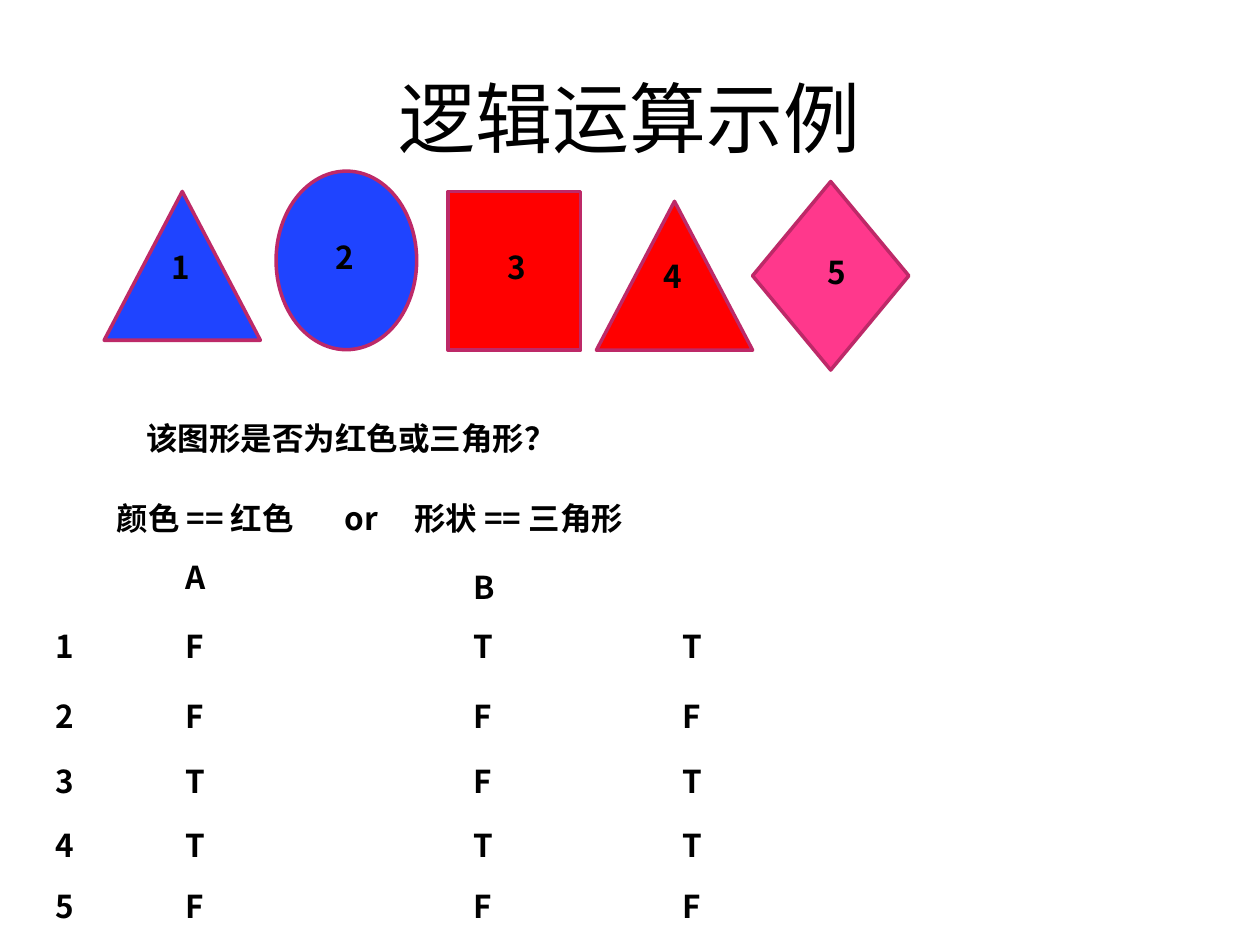
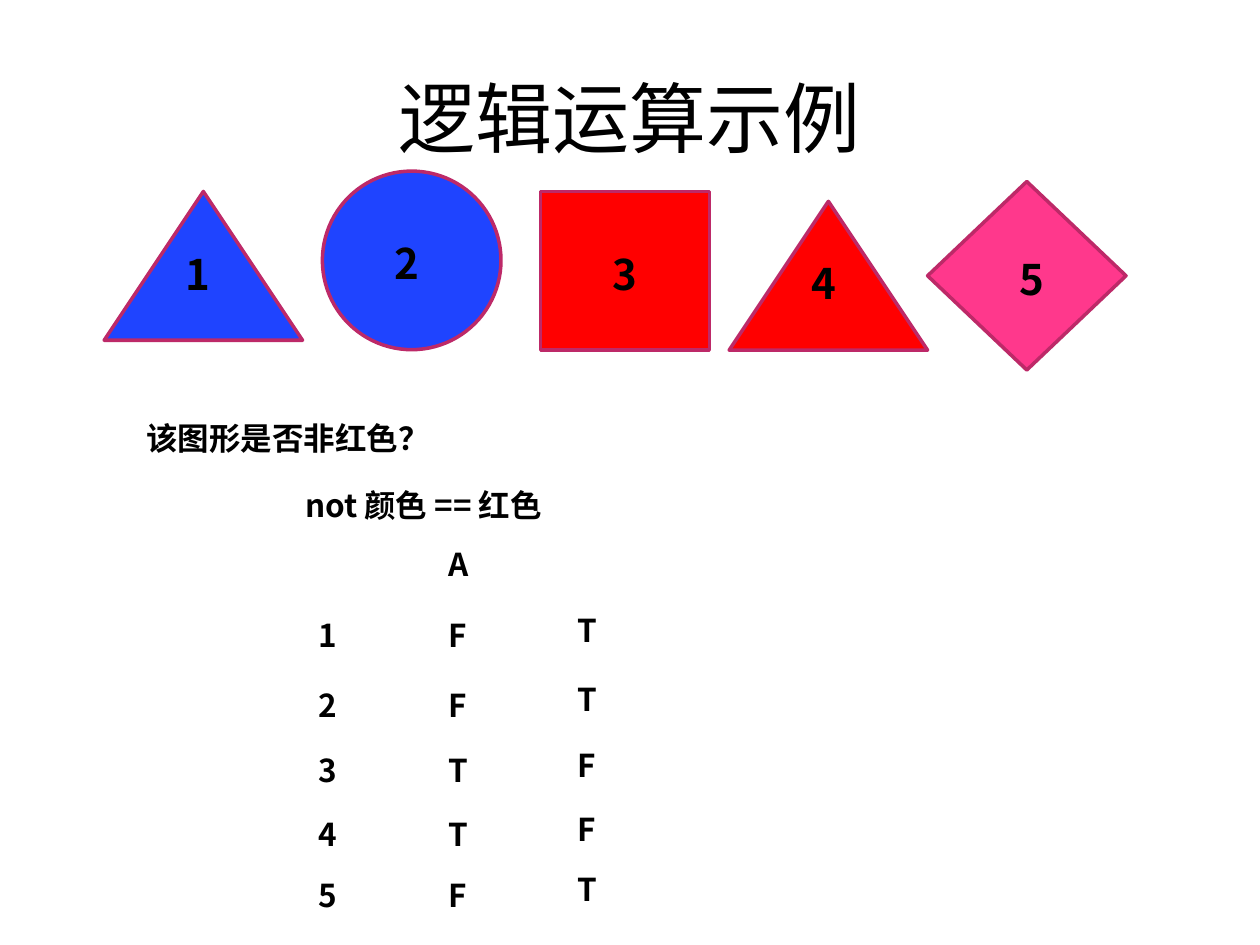
import pptx
import pptx.util
import pptx.dml.color
import pptx.enum.shapes
import pptx.enum.text
import pptx.oxml
import pptx.oxml.ns

Cm, Pt = pptx.util.Cm, pptx.util.Pt
MSO = pptx.enum.shapes.MSO_SHAPE
ALIGN = pptx.enum.text.PP_ALIGN

FONT = "Noto Sans CJK SC"
COLORS = {"text": "000000", "outline": "BD2968", "blue": "1F44FF",
          "red": "FF0000", "pink": "FF388C"}
TITLE = "逻辑运算示例"

FIGURES = [
    (MSO.ISOSCELES_TRIANGLE, "blue", (2.1, 3.86, 4, 3), (3.5, 4.88)),
    (MSO.OVAL, "blue", (6.5, 3.45, 3.6, 3.6), (7.7, 4.67)),
    (MSO.RECTANGLE, "red", (10.9, 3.86, 3.4, 3.2), (12.1, 4.88)),
    (MSO.ISOSCELES_TRIANGLE, "red", (14.7, 4.06, 4, 3), (16.1, 5.06)),
    (MSO.DIAMOND, "pink", (18.7, 3.66, 4, 3.8), (20.3, 4.98)),
]
FIGURES_LEFT = 2.1
TRIANGLE_WIDTH = 4
ROW_OFFSETS = [0, 1.4, 2.72, 4.01, 5.23]

SLIDES = [
    {
        "triangle_width": 3.15, "label_size": 18,
        "question": "该图形是否为红色或三角形？",
        "expression": [
            ("颜色 == 红色", 2.1, 9.93, 6.4), ("A", 3.5, 11.13, 1),
            ("形状 == 三角形", 8.1, 9.93, 9.4), ("B", 9.3, 11.33, 1),
            ("or", 6.7, 9.93, 2.4),
        ],
        "numbers_left": 0.71, "rows_top": 12.52,
        "columns": [("FFTTF", 3.5, 0), ("TFFTF", 9.3, 0), ("TFTTF", 13.5, 0)],
    },
    {
        "triangle_width": 4, "label_size": 24,
        "question": "该图形是否非红色？",
        "expression": [("not 颜色 == 红色", 5.9, 9.68, 8.4), ("A", 8.8, 10.87, 1)],
        "numbers_left": 6, "rows_top": 12.3,
        "columns": [("FFTTF", 8.8, 0), ("TTFFT", 11.4, -0.11)],
    },
]


def rgb(name):
    return pptx.dml.color.RGBColor.from_string(COLORS[name])


def add_run(p, text, size, bold):
    r = p.add_run()
    r.text = text
    r.font.name = FONT
    r.font.size = Pt(size)
    r.font.bold = bold
    r.font.color.rgb = rgb("text")
    ea = pptx.oxml.parse_xml(
        f'<a:ea {pptx.oxml.ns.nsdecls("a")} typeface="{FONT}"/>')
    r.font._element.find(pptx.oxml.ns.qn("a:latin")).addnext(ea)


def add_text(shapes, text, left, top, width, size=18, align=ALIGN.LEFT):
    height = 1.02 if size == 18 else 1.28
    tf = shapes.add_textbox(Cm(left), Cm(top), Cm(width), Cm(height)).text_frame
    tf.word_wrap = True
    tf.auto_size = pptx.enum.text.MSO_AUTO_SIZE.SHAPE_TO_FIT_TEXT
    p = tf.paragraphs[0]
    p.alignment = align
    add_run(p, text, size, True)


def add_title(s):
    sp = s.shapes.title
    sp.left, sp.top, sp.width, sp.height = Cm(1.27), Cm(0.76), Cm(22.86), Cm(3.18)
    sp.text_frame.vertical_anchor = pptx.enum.text.MSO_ANCHOR.MIDDLE
    p = sp.text_frame.paragraphs[0]
    p.alignment = ALIGN.CENTER
    add_run(p, TITLE, 44, False)


def add_figures(s, triangle_width, label_size):
    scale = triangle_width / TRIANGLE_WIDTH
    shapes = s.shapes.add_group_shape().shapes

    def squeeze(x):
        return FIGURES_LEFT + (x - FIGURES_LEFT) * scale

    for number, (kind, color, box, label) in enumerate(FIGURES, 1):
        left, top, width, height = box
        sp = shapes.add_shape(kind, Cm(squeeze(left)), Cm(top),
                              Cm(width * scale), Cm(height))
        sp.shadow.inherit = False
        sp.fill.solid()
        sp.fill.fore_color.rgb = rgb(color)
        sp.line.color.rgb = rgb("outline")
        sp.line.width = Pt(2)
        add_text(shapes, str(number), squeeze(label[0]), label[1],
                 1.2 * scale, label_size)


def add_truth_rows(s, numbers_left, rows_top, columns):
    for i, offset in enumerate(ROW_OFFSETS):
        top = rows_top + offset
        add_text(s.shapes, str(i + 1), numbers_left, top, 1.2, align=ALIGN.CENTER)
        for values, left, shift in columns:
            add_text(s.shapes, values[i], left, top + shift, 1.6)


def main():
    prs = pptx.Presentation()
    prs.slide_width, prs.slide_height = Cm(25.4), Cm(19.05)
    for data in SLIDES:
        s = prs.slides.add_slide(prs.slide_layouts[5])
        add_title(s)
        add_figures(s, data["triangle_width"], data["label_size"])
        add_text(s.shapes, data["question"], 2.7, 8.33, 13.2)
        for text, left, top, width in data["expression"]:
            add_text(s.shapes, text, left, top, width)
        add_truth_rows(s, data["numbers_left"], data["rows_top"], data["columns"])
    prs.save("out.pptx")


if __name__ == "__main__":
    main()
